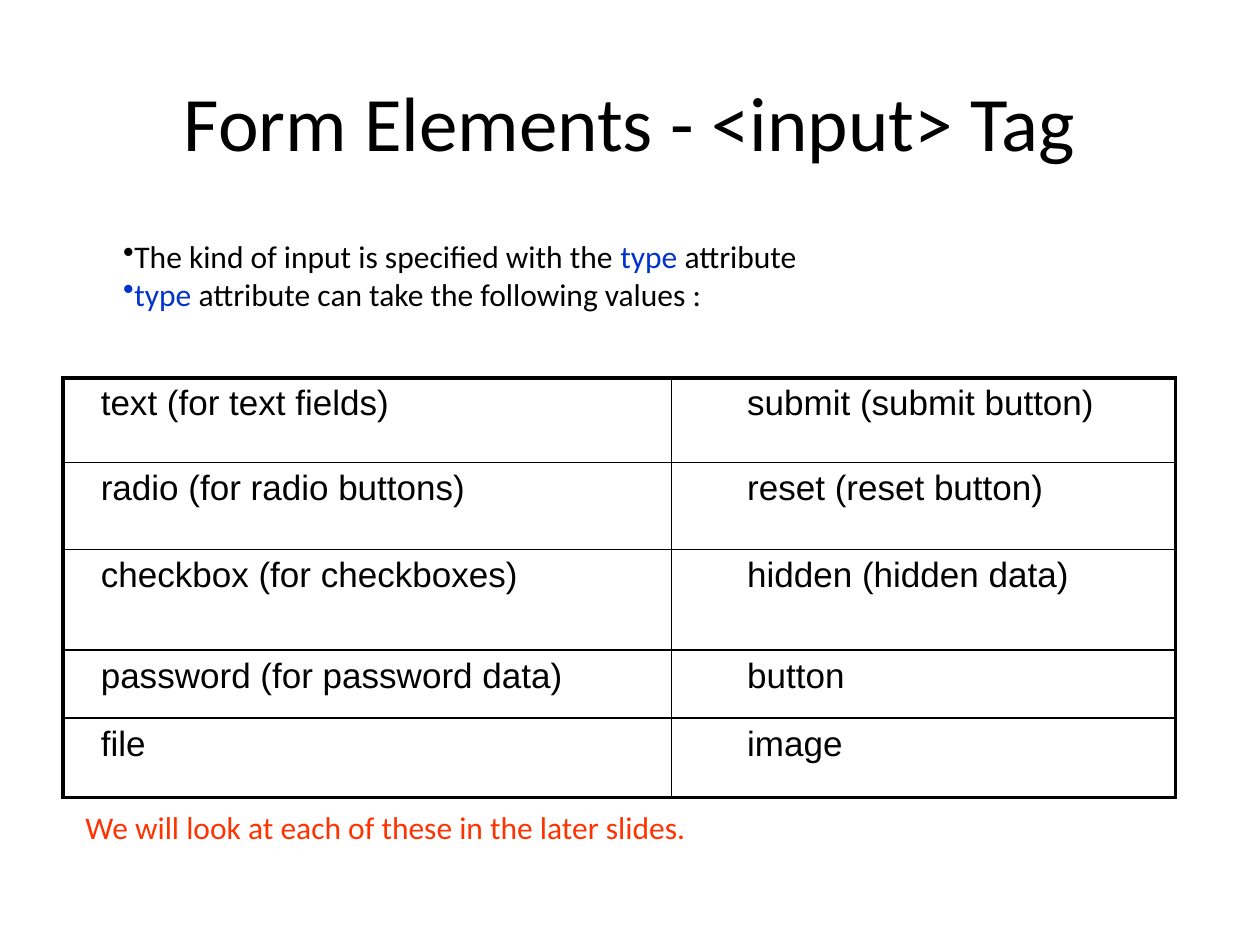
from lxml import etree
from pptx import Presentation
from pptx import util as u
from pptx.dml.color import RGBColor
from pptx.enum import text
from pptx.oxml.ns import qn

PX = 9144  # EMU per px, 100 px to the inch
BLACK = RGBColor(0x00, 0x00, 0x00)
BLUE = RGBColor(0x00, 0x33, 0xCC)
RED = RGBColor(0xFF, 0x33, 0x00)

BULLETS = [
    [("The kind of input is specified with the ", BLACK), ("type", BLUE),
     (" attribute", BLACK)],
    [("type", BLUE), (" attribute can take the following values :", BLACK)],
]
INPUT_TYPES = [
    ("text (for text fields)", "submit (submit button)"),
    ("radio (for radio buttons)", "reset (reset button)"),
    ("checkbox (for checkboxes)", "hidden (hidden data)"),
    ("password (for password data)", "button"),
    ("file", "image"),
]
COLUMN_WIDTHS = [483, 400]
COLUMN_INDENTS = [20, 50]
ROW_HEIGHTS = [67, 69, 80, 54, 63]


class SlideBuilder:
    body_font = "Calibri"
    table_font = "Arial"
    thin, thick = 1, 2.25

    def __init__(self, page):
        self.page = page

    def fill_paragraph(self, para, spans, size, font):
        """Fill a paragraph with (words, colour) spans."""
        para.font.size = u.Pt(size)
        para.font.name = font
        if len(spans) == 1:
            para.font.color.rgb = spans[0][1]
        for words, colour in spans:
            span = para.add_run()
            span.text = words
            if len(spans) > 1:
                span.font.color.rgb = colour

    def indent(self, para, margin, first=0):
        props = para._p.get_or_add_pPr()
        props.set("marL", str(margin * PX))
        props.set("indent", str(first * PX))
        return props

    def text_box(self, area, paragraphs, size, anchor=text.MSO_ANCHOR.TOP,
                 bullet=False):
        box = self.page.shapes.add_textbox(*(n * PX for n in area))
        frame = box.text_frame
        frame.word_wrap = True
        frame.vertical_anchor = anchor
        for i, spans in enumerate(paragraphs):
            para = frame.add_paragraph() if i else frame.paragraphs[0]
            if bullet:
                props = self.indent(para, 0, 30)
                etree.SubElement(props, qn("a:buChar"), char="•")
            self.fill_paragraph(para, spans, size, self.body_font)
        return frame

    def border(self, cell, side, width):
        line = etree.SubElement(cell._tc.get_or_add_tcPr(), qn("a:ln" + side),
                                w=str(int(u.Pt(width))))
        fill = etree.SubElement(line, qn("a:solidFill"))
        etree.SubElement(fill, qn("a:srgbClr"), val=str(BLACK))

    def table(self, left, top, widths, heights, rows, indents, size):
        table = self.page.shapes.add_table(
            len(heights), len(widths), left * PX, top * PX,
            sum(widths) * PX, sum(heights) * PX).table
        table.first_row = table.horz_banding = False
        for column, width in zip(table.columns, widths):
            column.width = width * PX
        for row, height in zip(table.rows, heights):
            row.height = height * PX
        last_row, last_column = len(heights) - 1, len(widths) - 1
        for r, entries in enumerate(rows):
            for c, words in enumerate(entries):
                cell = table.cell(r, c)
                # Thick outer frame, thin inner lines
                outer = {"L": c == 0, "R": c == last_column,
                         "T": r == 0, "B": r == last_row}
                for side, is_outer in outer.items():
                    self.border(cell, side, self.thick if is_outer else self.thin)
                cell.fill.background()
                para = cell.text_frame.paragraphs[0]
                self.indent(para, indents[c])
                para.space_before = u.Pt(size * 0.2)
                self.fill_paragraph(para, [(words, BLACK)], size, self.table_font)


def main():
    deck = Presentation()
    deck.slide_width, deck.slide_height = 1000 * PX, 750 * PX
    builder = SlideBuilder(deck.slides.add_slide(deck.slide_layouts[6]))

    # Title
    title = builder.text_box((75, 50, 850, 92),
                             [[("Form Elements - <input> Tag", BLACK)]], 44,
                             anchor=text.MSO_ANCHOR.MIDDLE)
    title.paragraphs[0].alignment = text.PP_ALIGN.CENTER

    # Table of input types
    builder.table(50, 300, COLUMN_WIDTHS, ROW_HEIGHTS, INPUT_TYPES,
                  COLUMN_INDENTS, 20)

    # Introduction
    builder.text_box((58, 183, 850, 150), BULLETS, 18, bullet=True)

    # Closing remark
    remark = builder.text_box(
        (58, 642, 825, 94),
        [[("We will look at each of these in the later slides.", RED)]], 18)
    remark.paragraphs[0].line_spacing = 0.8
    remark.paragraphs[0].space_before = u.Pt(3.6)

    deck.save("out.pptx")


if __name__ == "__main__":
    main()
